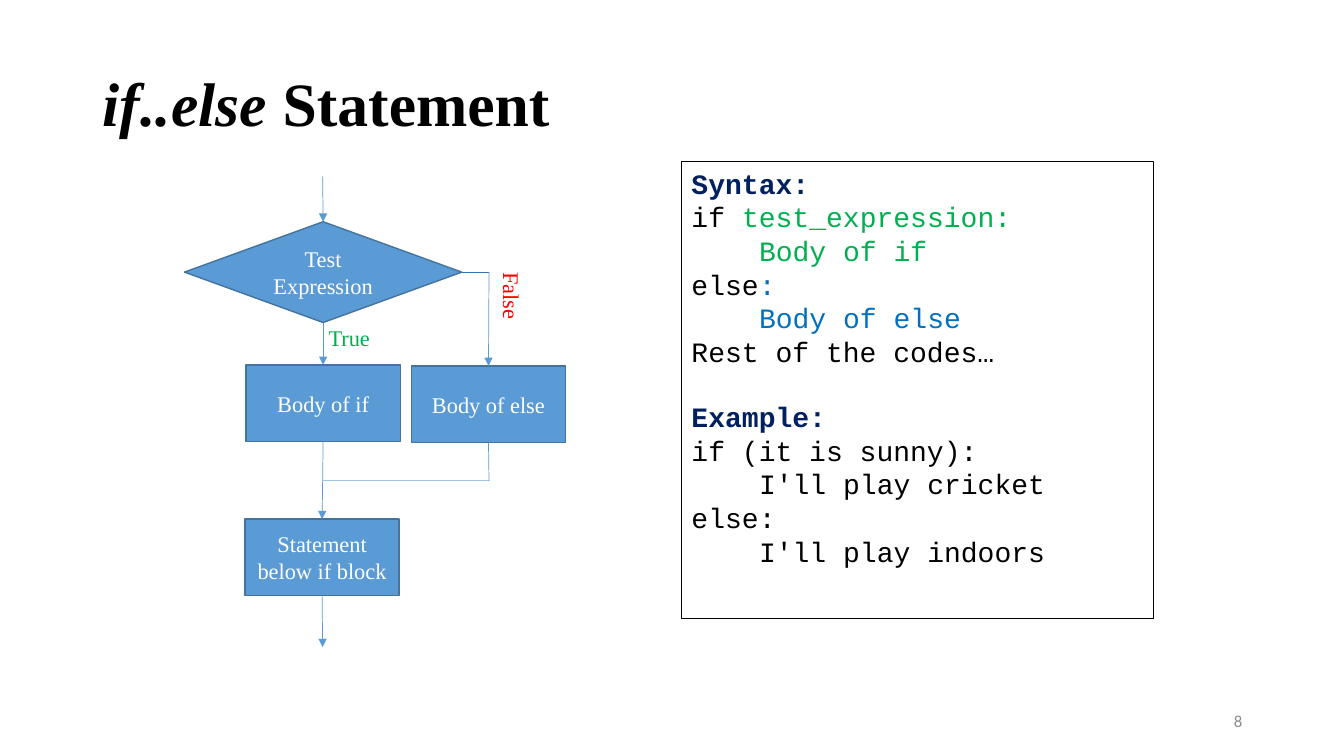
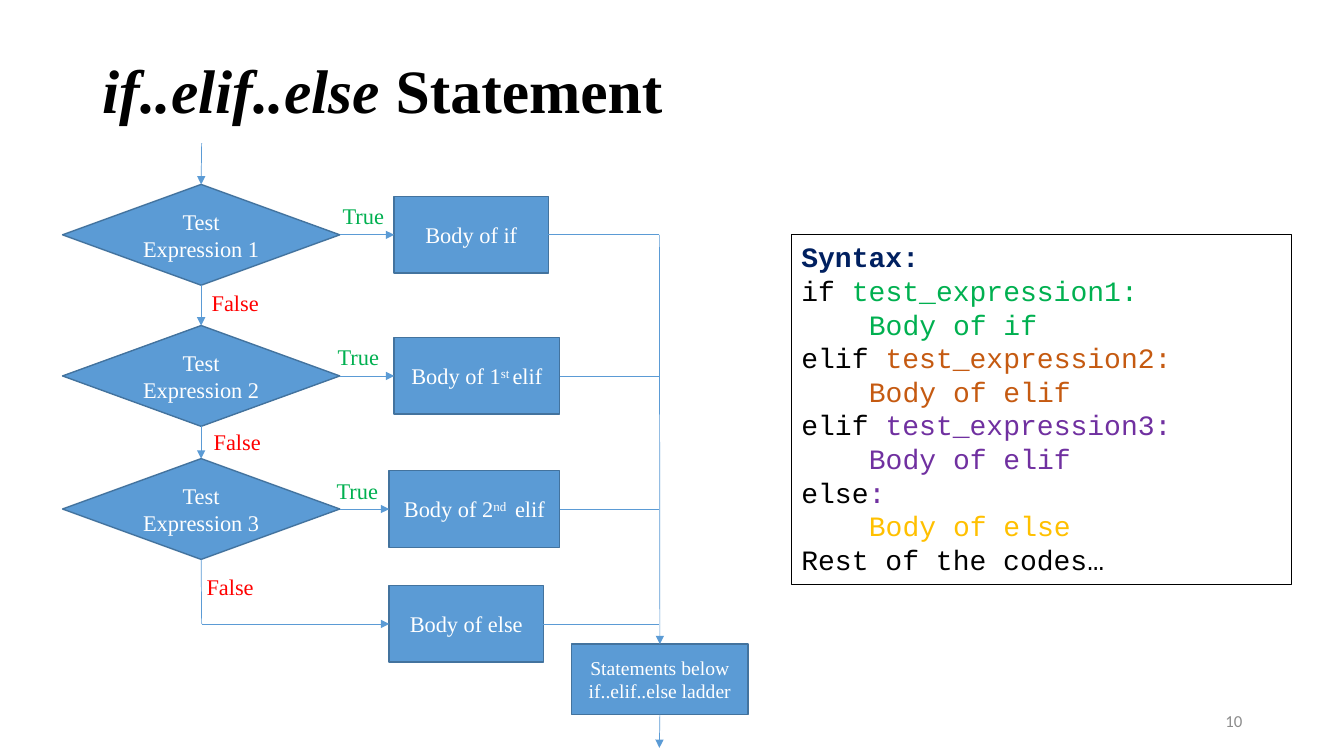
"""Builds two slides that explain Python branching with flowcharts and syntax boxes."""
from lxml.etree import SubElement
from pptx import Presentation
from pptx.dml.color import RGBColor
from pptx.enum.shapes import MSO_CONNECTOR, MSO_SHAPE
from pptx.enum.text import MSO_ANCHOR, PP_ALIGN
from pptx.oxml.ns import qn
from pptx.util import Inches, Pt

BLACK = RGBColor(0x00, 0x00, 0x00)
WHITE = RGBColor(0xFF, 0xFF, 0xFF)
GREY = RGBColor(0x8C, 0x8C, 0x8C)
NAVY = RGBColor(0x00, 0x20, 0x60)
GREEN = RGBColor(0x00, 0xB0, 0x50)
RED = RGBColor(0xFF, 0x00, 0x00)
BLUE = RGBColor(0x00, 0x70, 0xC0)
ORANGE = RGBColor(0xC5, 0x5A, 0x11)
PURPLE = RGBColor(0x70, 0x30, 0xA0)
GOLD = RGBColor(0xFF, 0xC0, 0x00)
NODE_FILL = RGBColor(0x5B, 0x9B, 0xD5)
NODE_LINE = RGBColor(0x43, 0x73, 0x9E)
DARK_LINE = RGBColor(0x2E, 0x75, 0xB6)
PALE_LINE = RGBColor(0x9D, 0xC3, 0xE6)

SERIF, MONO, SANS = "Times New Roman", "Courier New", "Calibri"
TITLE = {"name": SERIF, "size": Pt(44), "bold": True}
NODE = {"name": SERIF, "size": Pt(16)}
CODE = {"name": MONO, "size": Pt(20)}
NUMBER = {"name": SANS, "size": Pt(12)}
CODE_INDENT = Inches(0.67)
CODE_GAP = Pt(22.66)
DIAMOND, RECTANGLE = MSO_SHAPE.DIAMOND, MSO_SHAPE.RECTANGLE
TEST_SIZE, BODY_SIZE = (2.75, 1), (1.53, 0.76)
SITES = {"top": 0, "left": 1, "bottom": 2, "right": 3}
ARROW, PLAIN = True, False

TEST_TOPS = [1.83, 3.23, 4.55]
BODY_DROP = 0.12
TEST_X, BUS_X, ELSE_Y = 2, 6.54, 6.19
BODIES = [
    (3.91, 1.53, [("Body of if", {})]),
    (3.91, 1.64, [("Body of 1", {}), ("st ", {"raised": True}), ("elif", {})]),
    (3.86, 1.69, [("Body of 2", {}), ("nd ", {"raised": True}), (" elif", {})]),
]

ladder_nodes = {
    "else": (RECTANGLE, (3.86, 5.81), BODY_SIZE, [("Body of else", {})]),
    "after": (RECTANGLE, (5.67, 6.39), (1.75, 0.7),
              [("Statements below if..elif..else ladder", {"size": Pt(14)})]),
}
ladder_links = [
    ((TEST_X, 1.42), ("test1", "top"), ARROW, NODE_FILL),
    (("test1", "bottom"), ("test2", "top"), ARROW, NODE_FILL),
    (("test2", "bottom"), ("test3", "top"), ARROW, NODE_FILL),
    (("test3", "bottom"), (TEST_X, ELSE_Y), PLAIN, NODE_FILL),
    ((TEST_X, ELSE_Y), ("else", "left"), ARROW, NODE_FILL),
    (("else", "right"), (BUS_X, ELSE_Y), PLAIN, NODE_FILL),
    ((BUS_X, 2.33), ("after", "top"), ARROW, NODE_FILL),
    (("after", "bottom"), (BUS_X, 7.42), ARROW, NODE_FILL),
]
for order, (top, (left, width, runs)) in enumerate(zip(TEST_TOPS, BODIES), 1):
    test, body = f"test{order}", f"body{order}"
    ladder_nodes[test] = (DIAMOND, (0.62, top), TEST_SIZE, [(f"Test Expression {order}", {})])
    ladder_nodes[body] = (RECTANGLE, (left, top + BODY_DROP), (width, BODY_SIZE[1]), runs)
    ladder_links += [
        ((test, "right"), (body, "left"), ARROW, NODE_FILL),
        ((body, "right"), (BUS_X, top + TEST_SIZE[1] / 2), PLAIN, NODE_FILL),
    ]

SLIDES = [
    {
        "title": ("if..else ", 0.33),
        "number": "8",
        "code_at": (6.76, 1.6, 4.68, 4.54),
        "code": [
            (0, [("Syntax:", NAVY)]),
            (0, [("if ", BLACK), ("test_expression:", GREEN)]),
            (1, [("Body of if", GREEN)]),
            (0, [("else", BLACK), (":", BLUE)]),
            (1, [("Body of else", BLUE)]),
            (0, [("Rest of the codes…", BLACK)]),
            (0, [("Example:", NAVY)]),
            (0, [("if (it is sunny):", BLACK)]),
            (1, [("I'll play cricket", BLACK)]),
            (0, [("else:", BLACK)]),
            (1, [("I'll play indoors", BLACK)]),
        ],
        "nodes": {
            "test": (DIAMOND, (1.83, 2.2), TEST_SIZE, [("Test Expression", {})]),
            "if": (RECTANGLE, (2.44, 3.62), BODY_SIZE, [("Body of if", {})]),
            "else": (RECTANGLE, (4.08, 3.63), BODY_SIZE, [("Body of else", {})]),
            "after": (RECTANGLE, (2.43, 5.15), BODY_SIZE, [("Statement below if block", {})]),
        },
        "links": [
            ((3.2, 1.75), ("test", "top"), ARROW, NODE_FILL),
            (("test", "bottom"), ("if", "top"), ARROW, NODE_FILL),
            (("test", "right"), (4.85, 2.7), PLAIN, DARK_LINE),
            ((4.85, 2.7), ("else", "top"), ARROW, NODE_FILL),
            (("if", "bottom"), ("after", "top"), ARROW, NODE_FILL),
            ((3.2, 4.77), (4.85, 4.77), PLAIN, PALE_LINE),
            (("else", "bottom"), (4.85, 4.77), PLAIN, NODE_FILL),
            (("after", "bottom"), (3.2, 6.42), ARROW, NODE_FILL),
        ],
        "labels": [("True", 3.16, 3.17, 0), ("False", 4.7, 2.79, 90)],
    },
    {
        "title": ("if..elif..else ", 0.2),
        "number": "10",
        "code_at": (7.85, 2.33, 4.96, 3.47),
        "code": [
            (0, [("Syntax:", NAVY)]),
            (0, [("if ", BLACK), ("test_expression1:", GREEN)]),
            (1, [("Body of if", GREEN)]),
            (0, [("elif ", BLACK), ("test_expression2:", ORANGE)]),
            (1, [("Body of elif", ORANGE)]),
            (0, [("elif ", BLACK), ("test_expression3:", PURPLE)]),
            (1, [("Body of elif", PURPLE)]),
            (0, [("else", BLACK), (":", PURPLE)]),
            (1, [("Body of else", GOLD)]),
            (0, [("Rest of the codes…", BLACK)]),
        ],
        "nodes": ladder_nodes,
        "links": ladder_links,
        "labels": [
            ("True", 3.3, 1.96, 0), ("True", 3.25, 3.36, 0), ("True", 3.24, 4.68, 0),
            ("False", 2, 2.82, 0), ("False", 2.02, 4.2, 0), ("False", 1.95, 5.64, 0),
        ],
    },
]
LABELS = {"True": (GREEN, 0.62), "False": (RED, 0.75)}


def add_span(para, text, color, style, raised=False, **changes):
    """Add one formatted run to a paragraph."""
    span = para.add_run()
    span.text = text
    for key, value in {**style, **changes}.items():
        setattr(span.font, key, value)
    span.font.color.rgb = color
    if raised:
        span.font._element.set("baseline", "30000")


def add_title(page, keyword, top):
    """Place the title with its keyword in italics."""
    box = page.shapes.title
    box.left, box.top, box.width, box.height = map(Inches, (0.92, top, 11.5, 1.45))
    box.text_frame.vertical_anchor = MSO_ANCHOR.MIDDLE
    para = box.text_frame.paragraphs[0]
    para.alignment, para.line_spacing = PP_ALIGN.LEFT, 0.9
    add_span(para, keyword, BLACK, TITLE, italic=True)
    add_span(para, "Statement", BLACK, TITLE, italic=False)


def add_label(page, place, text, color, style, align=PP_ALIGN.LEFT, turn=0):
    """Add a short free-standing text."""
    box = page.shapes.add_textbox(*map(Inches, place))
    box.rotation = turn
    frame = box.text_frame
    if align == PP_ALIGN.RIGHT:
        frame.word_wrap, frame.vertical_anchor = True, MSO_ANCHOR.MIDDLE
    frame.paragraphs[0].alignment = align
    add_span(frame.paragraphs[0], text, color, style)


def add_panel(page, kind, place, line_color, line_width, anchor):
    """Add an outlined shape that is ready for text."""
    box = page.shapes.add_shape(kind, *map(Inches, place))
    box.shadow.inherit = False
    box.line.color.rgb, box.line.width = line_color, Pt(line_width)
    box.text_frame.word_wrap, box.text_frame.vertical_anchor = True, anchor
    return box


def add_code(page, place, lines):
    """Add the syntax box, with headings in bold and indented bodies."""
    box = add_panel(page, RECTANGLE, place, BLACK, 0.75, MSO_ANCHOR.TOP)
    box.fill.background()
    frame = box.text_frame
    for index, (level, runs) in enumerate(lines):
        para = frame.add_paragraph() if index else frame.paragraphs[0]
        para.alignment = PP_ALIGN.LEFT
        para._p.get_or_add_pPr().set("marL", str(level * CODE_INDENT))
        heading = runs[0][1] == NAVY
        if heading and index:
            para.space_before = CODE_GAP
        for text, color in runs:
            add_span(para, text, color, CODE, bold=heading)


def add_node(page, kind, corner, size, runs):
    """Add one flowchart node."""
    box = add_panel(page, kind, corner + size, NODE_LINE, 1, MSO_ANCHOR.MIDDLE)
    box.fill.solid()
    box.fill.fore_color.rgb = NODE_FILL
    para = box.text_frame.paragraphs[0]
    para.alignment = PP_ALIGN.CENTER
    for text, changes in runs:
        add_span(para, text, WHITE, NODE, **changes)
    return box


def add_link(page, boxes, start, end, arrow, color):
    """Join two ends, each a point or a named side of a node."""
    points = [(0, 0) if place[0] in boxes else place for place in (start, end)]
    link = page.shapes.add_connector(
        MSO_CONNECTOR.STRAIGHT, *(Inches(value) for point in points for value in point))
    for place, attach in ((start, link.begin_connect), (end, link.end_connect)):
        if place[0] in boxes:
            attach(boxes[place[0]], SITES[place[1]])
    link.line.color.rgb = color
    link.line.width = Pt(1 if color == PALE_LINE else 0.5)
    if arrow:
        SubElement(link.line._get_or_add_ln(), qn("a:tailEnd"), type="triangle")
    SubElement(link._element.spPr, qn("a:effectLst"))


def main():
    """Build and save the deck."""
    deck = Presentation()
    deck.slide_width, deck.slide_height = Inches(13.33), Inches(7.5)
    for content in SLIDES:
        page = deck.slides.add_slide(deck.slide_layouts[5])
        add_title(page, *content["title"])
        add_code(page, content["code_at"], content["code"])
        add_label(page, (9.42, 6.95, 3, 0.4), content["number"], GREY, NUMBER, PP_ALIGN.RIGHT)
        boxes = {name: add_node(page, *node) for name, node in content["nodes"].items()}
        for link in content["links"]:
            add_link(page, boxes, *link)
        for text, left, top, turn in content["labels"]:
            color, width = LABELS[text]
            add_label(page, (left, top, width, 0.37), text, color, NODE, turn=turn)
    deck.save("out.pptx")


if __name__ == "__main__":
    main()
